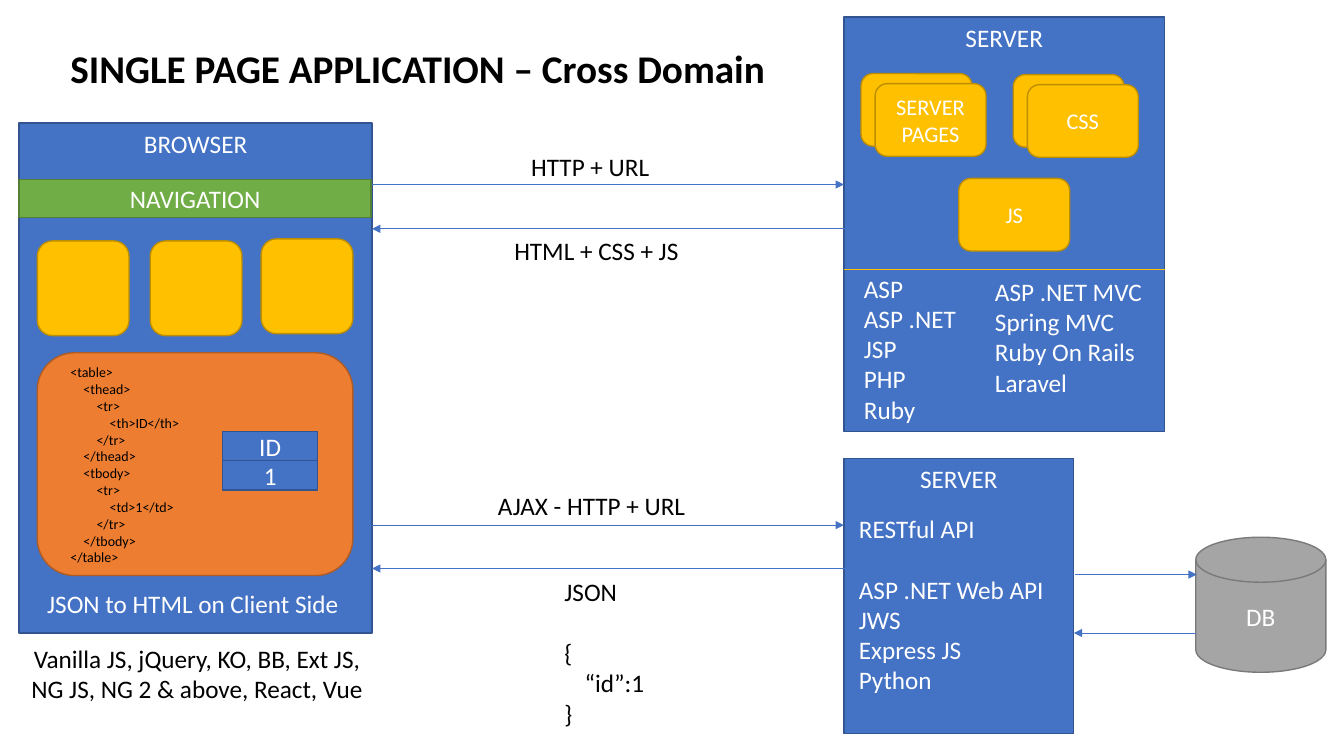
import collections

import pptx
import pptx.dml.color
import pptx.enum.shapes
import pptx.enum.text
import pptx.oxml.ns
import pptx.util
from lxml import etree

PX = 9144  # one px is a hundredth of an inch
FONT = "Calibri"
BLUE, BLUE_EDGE = "4472C4", "325491"
GOLD, GOLD_EDGE = "FFC000", "BD8E00"
ORANGE, ORANGE_EDGE = "ED7D31", "AF5C24"
GREEN, GREEN_EDGE = "70AD47", "538035"
GREY, GREY_EDGE = "A5A5A5", "7A7A7A"
WHITE, BLACK = "FFFFFF", "000000"

SHAPE = pptx.enum.shapes.MSO_SHAPE
ALIGN = pptx.enum.text.PP_ALIGN
ANCHOR = pptx.enum.text.MSO_ANCHOR

# A line of text with its indent in px and the space before it in points
Line = collections.namedtuple("Line", "text indent gap", defaults=(0, 0))

HTML_STEP = 13
HTML_LINES = [
    (0, "<table>"), (1, "<thead>"), (2, "<tr>"), (3, "<th>ID</th>"),
    (2, "</tr>"), (1, "</thead>"), (1, "<tbody>"), (2, "<tr>"),
    (3, "<td>1</td>"), (2, "</tr>"), (1, "</tbody>"), (0, "</table>"),
]


def px(*lengths):
    return [pptx.util.Emu(length * PX) for length in lengths]


def rgb(value):
    return pptx.dml.color.RGBColor.from_string(value)


def write(frame, lines, size, color, align, bold=False):
    lines = [line if isinstance(line, Line) else Line(line) for line in lines]
    frame.text = "\n".join(line.text for line in lines)
    for para, line in zip(frame.paragraphs, lines):
        para.alignment = align
        if line.gap:
            para.space_before = pptx.util.Pt(line.gap)
        if line.indent:
            para._p.get_or_add_pPr().set("marL", str(line.indent * PX))
        for span in para.runs:
            span.font.name = FONT
            span.font.size = pptx.util.Pt(size)
            span.font.bold = bold
            span.font.color.rgb = rgb(color)


def add_block(shapes, kind, at, fill, edge, label="", size=18, anchor=ANCHOR.MIDDLE):
    block = shapes.add_shape(kind, *px(*at))
    block.shadow.inherit = False
    block.fill.solid()
    block.fill.fore_color.rgb = rgb(fill)
    block.line.color.rgb = rgb(edge)
    block.line.width = pptx.util.Pt(1)
    if label:
        block.text_frame.vertical_anchor = anchor
        write(block.text_frame, [label], size, WHITE, ALIGN.CENTER)


def add_panel(page, at, label):
    add_block(page.shapes, SHAPE.RECTANGLE, at, BLUE, BLUE_EDGE, label, anchor=ANCHOR.TOP)


def add_card(shapes, at, label=""):
    add_block(shapes, SHAPE.ROUNDED_RECTANGLE, at, GOLD, GOLD_EDGE, label, 16)


def add_card_stack(page, left, top, label):
    stack = page.shapes.add_group_shape()
    add_card(stack.shapes, (left, top, 110, 72))
    add_card(stack.shapes, (left + 14, top + 10, 110, 72), label)


def add_text(page, at, lines, size=18, color=BLACK, align=ALIGN.LEFT, bold=False, wrap=False):
    box = page.shapes.add_textbox(*px(*at))
    box.text_frame.word_wrap = wrap
    box.text_frame.auto_size = pptx.enum.text.MSO_AUTO_SIZE.SHAPE_TO_FIT_TEXT
    write(box.text_frame, lines, size, color, align, bold)


def add_line(page, start, end, y, color=BLUE, arrow=True):
    line = page.shapes.add_connector(
        pptx.enum.shapes.MSO_CONNECTOR.STRAIGHT, *px(start, y, end, y))
    line.line.color.rgb = rgb(color)
    line.line.width = pptx.util.Pt(0.5)
    if arrow:
        head = etree.SubElement(line.line._get_or_add_ln(), pptx.oxml.ns.qn("a:tailEnd"))
        head.set("type", "triangle")
    etree.SubElement(line._element.spPr, pptx.oxml.ns.qn("a:effectLst"))


def draw_page_server(page):
    add_panel(page, (837, 17, 318, 411), "SERVER")
    add_text(page, (847, 266, 121, 162), ["ASP", "ASP .NET", "JSP", "PHP", "Ruby"], color=WHITE)
    add_text(page, (977, 269, 178, 131),
             ["ASP .NET MVC", "Spring MVC", "Ruby On Rails", "Laravel"],
             color=WHITE, wrap=True)
    add_line(page, 837, 1155, 267, GOLD, arrow=False)
    add_card_stack(page, 854, 73, "SERVER PAGES")
    add_card_stack(page, 1005, 74, "CSS")
    add_card(page.shapes, (951, 177, 110, 72), "JS")


def draw_browser(page):
    add_panel(page, (19, 122, 350, 506), "BROWSER")
    add_block(page.shapes, SHAPE.RECTANGLE, (19, 178, 349, 38), GREEN, GREEN_EDGE, "NAVIGATION")
    for left, top in ((37, 239), (149, 239), (259, 237)):
        add_card(page.shapes, (left, top, 91, 94))

    # Markup and the table it renders
    add_block(page.shapes, SHAPE.ROUNDED_RECTANGLE, (37, 350, 313, 221), ORANGE, ORANGE_EDGE)
    add_text(page, (60, 356, 244, 212),
             [Line(text, depth * HTML_STEP) for depth, text in HTML_LINES],
             size=10, wrap=True)
    rows = page.shapes.add_group_shape()
    for index, label in enumerate(("ID", "1")):
        add_block(rows.shapes, SHAPE.RECTANGLE, (221, 428 + 29 * index, 94, 29),
                  BLUE, BLUE_EDGE, label)

    add_text(page, (37, 579, 313, 40), ["JSON to HTML on Client Side"], color=WHITE)
    add_text(page, (19, 633, 353, 71),
             ["Vanilla JS, jQuery, KO, BB, Ext JS,", "NG JS, NG 2 & above, React, Vue"],
             align=ALIGN.CENTER)


def draw_api_server(page):
    add_panel(page, (837, 455, 228, 273), "SERVER")
    add_text(page, (842, 504, 218, 192),
             ["RESTful API", Line("ASP .NET Web API", gap=22), "JWS", "Express JS", "Python"],
             color=WHITE)
    add_block(page.shapes, SHAPE.FLOWCHART_MAGNETIC_DISK, (1186, 533, 129, 134),
              GREY, GREY_EDGE, "DB")
    add_line(page, 1066, 1187, 570)
    add_line(page, 1186, 1065, 628)


def draw_messages(page):
    for request_y in (183, 521):
        add_line(page, 369, 837, request_y)
    for reply_y in (227, 564):
        add_line(page, 838, 369, reply_y)
    add_text(page, (517, 145, 139, 40), ["HTTP + URL"])
    add_text(page, (499, 229, 185, 40), ["HTML + CSS + JS"], align=ALIGN.CENTER)
    add_text(page, (484, 482, 208, 40), ["AJAX - HTTP + URL"])
    add_text(page, (550, 567, 100, 162),
             ["JSON", Line("{", gap=22), Line("“id”:1", indent=20), "}"])


def main():
    deck = pptx.Presentation()
    deck.slide_width, deck.slide_height = px(1333, 750)
    page = deck.slides.add_slide(deck.slide_layouts[6])
    draw_page_server(page)
    draw_browser(page)
    draw_api_server(page)
    draw_messages(page)
    add_text(page, (60, 39, 717, 57), ["SINGLE PAGE APPLICATION – Cross Domain"],
             size=28, bold=True)
    deck.save("out.pptx")


if __name__ == "__main__":
    main()
